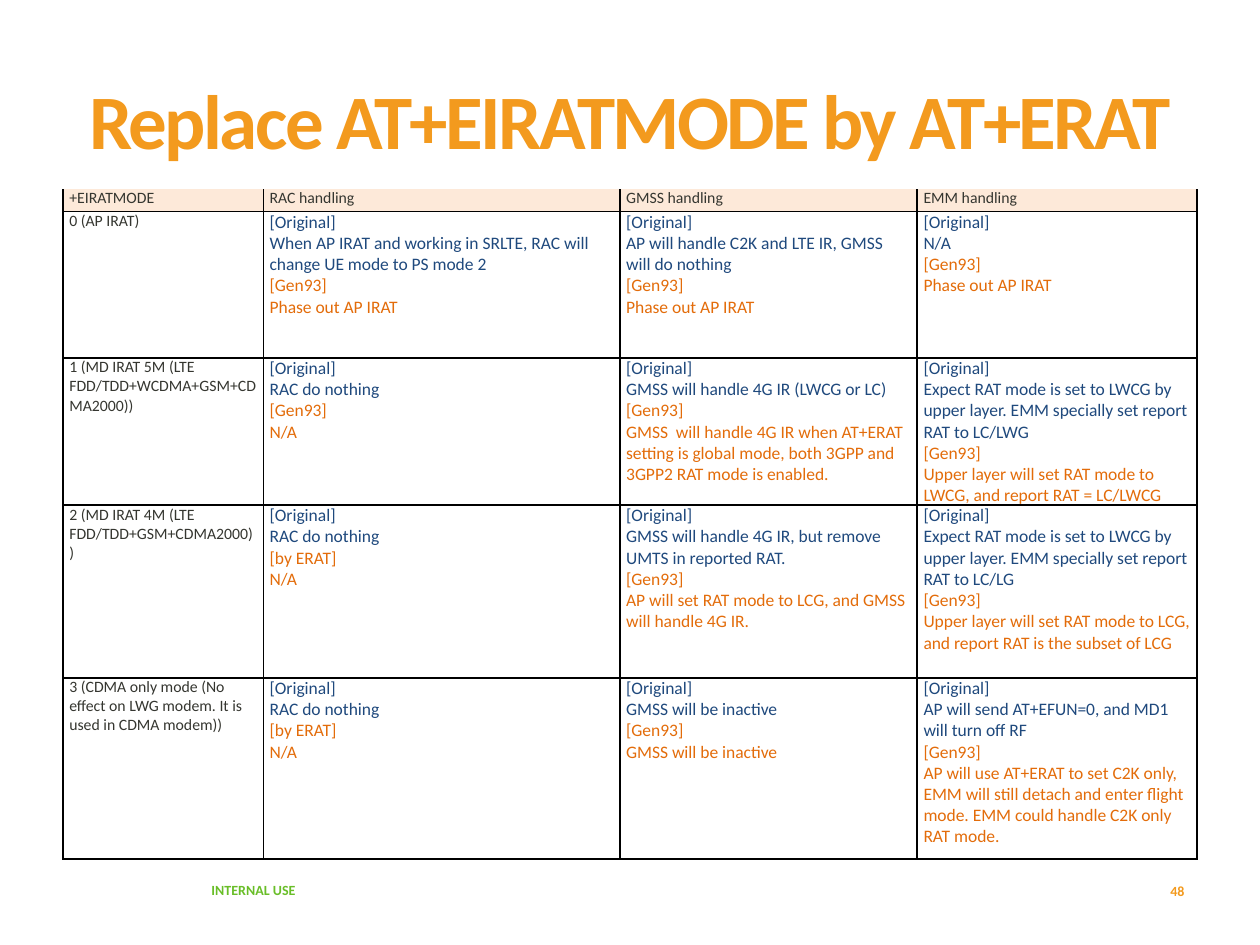
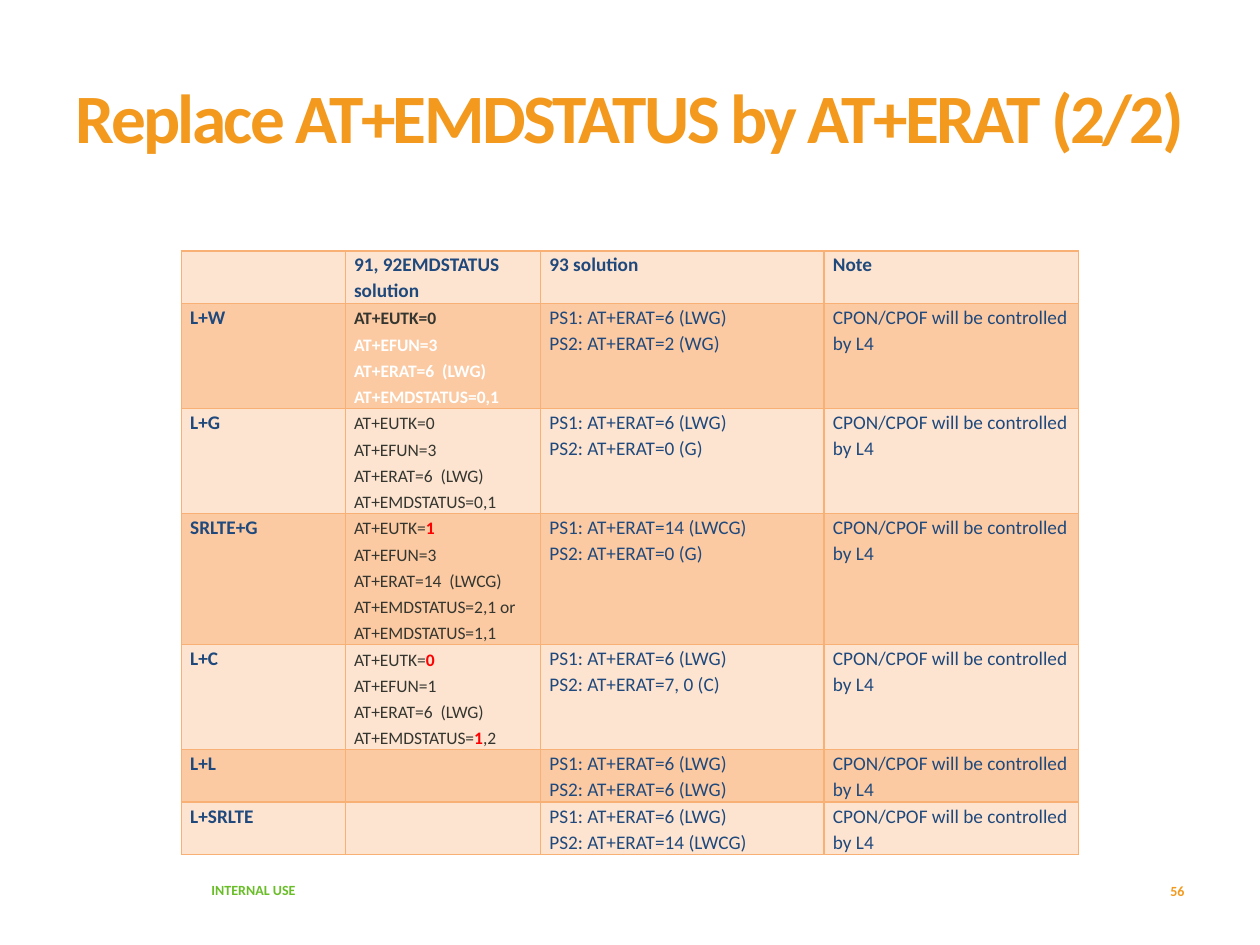
"""Build two slides of tables on replacing AT commands by AT+ERAT."""
from lxml.etree import SubElement
from pptx import Presentation
from pptx.dml.color import RGBColor
from pptx.enum.text import MSO_ANCHOR as Anchor, PP_ALIGN as Align
from pptx.oxml.ns import qn
from pptx.util import Inches, Pt

hex_color = RGBColor.from_string
DARK, NAVY, ORANGE, RED, WHITE = "353630", "1F497D", "E36C0A", "FF0000", "FFFFFF"
AMBER, GREEN = "F39A1E", "69BE28"

STYLES = {
    "title": {"size": Pt(44), "bold": True, "color": AMBER},
    "long title": {"size": Pt(39.6), "bold": True, "color": AMBER},
    "footer": {"size": Pt(8), "bold": True, "color": GREEN},
    "number": {"size": Pt(8), "bold": True, "color": AMBER},
    "mode": {"size": Pt(9), "bold": False, "color": DARK},
    "before": {"size": Pt(10), "bold": False, "color": NAVY},
    "after": {"size": Pt(10), "bold": False, "color": ORANGE},
    "heading": {"size": Pt(11), "bold": True, "color": NAVY},
    "solution": {"size": Pt(11), "bold": False, "color": NAVY},
    "command": {"size": Pt(10), "bold": False, "color": DARK},
    "bold command": {"size": Pt(10), "bold": True, "color": DARK},
    "white command": {"size": Pt(10), "bold": True, "color": WHITE},
    "changed": {"size": Pt(10), "bold": True, "color": RED},
}


def write(frame, lines, layout):
    """Write lines of (style, text) runs; layout holds paragraph attributes."""
    for index, line in enumerate(lines):
        paragraph = frame.add_paragraph() if index else frame.paragraphs[0]
        for name, value in layout.items():
            setattr(paragraph, name, value)
        for style, text in line:
            run = paragraph.add_run()
            run.text = text
            run.font.name = "Calibri"
            for name, value in STYLES[style].items():
                if name == "color":
                    run.font.color.rgb = hex_color(value)
                else:
                    setattr(run.font, name, value)
            if style.endswith("title"):
                run.font._element.set("spc", "-150")


def format_cell(cell, inset, sides, line_color, fill):
    """Set the margins, the borders on the given sides and the fill."""
    margins = {"margin_left": inset, "margin_right": inset, "margin_top": 0, "margin_bottom": 0}
    for name, value in margins.items():
        setattr(cell, name, Inches(value))
    properties = cell._tc.get_or_add_tcPr()
    for side in "LRTB":
        line = SubElement(properties, qn("a:ln" + side), w=str(Pt(1)))
        if side in sides:
            solid = SubElement(line, qn("a:solidFill"))
            SubElement(solid, qn("a:srgbClr"), val=line_color)
        else:
            SubElement(line, qn("a:noFill"))
    if fill:
        cell.fill.solid()
        cell.fill.fore_color.rgb = hex_color(fill)
    else:
        cell.fill.background()


MODE_HEADINGS = ["+EIRATMODE", "RAC handling", "GMSS handling", "EMM handling"]
PHASE_OUT = "Phase out AP IRAT"
MODES = [
    ("0 (AP IRAT)", [
        ("When AP IRAT and working in SRLTE, RAC will change UE mode to PS mode 2",
         "[Gen93]", PHASE_OUT),
        ("AP will handle C2K and LTE IR, GMSS will do nothing", "[Gen93]", PHASE_OUT),
        ("N/A", "[Gen93]", PHASE_OUT)]),
    ("1 (MD IRAT 5M (LTE FDD/TDD+WCDMA+GSM+CDMA2000))", [
        ("RAC do nothing", "[Gen93]", "N/A"),
        ("GMSS will handle 4G IR (LWCG or LC)", "[Gen93]",
         "GMSS  will handle 4G IR when AT+ERAT setting is global mode, "
         "both 3GPP and 3GPP2 RAT mode is enabled."),
        ("Expect RAT mode is set to LWCG by upper layer. EMM specially set report RAT to LC/LWG",
         "[Gen93]", "Upper layer will set RAT mode to LWCG, and report RAT = LC/LWCG")]),
    ("2 (MD IRAT 4M (LTE FDD/TDD+GSM+CDMA2000))", [
        ("RAC do nothing", "[by ERAT]", "N/A"),
        ("GMSS will handle 4G IR, but remove UMTS in reported RAT.", "[Gen93]",
         "AP will set RAT mode to LCG, and GMSS will handle 4G IR."),
        ("Expect RAT mode is set to LWCG by upper layer. EMM specially set report RAT to LC/LG",
         "[Gen93]", "Upper layer will set RAT mode to LCG, and report RAT is the subset of LCG")]),
    ("3 (CDMA only mode (No effect on LWG modem. It is used in CDMA modem))", [
        ("RAC do nothing", "[by ERAT]", "N/A"),
        ("GMSS will be inactive", "[Gen93]", "GMSS will be inactive"),
        ("AP will send AT+EFUN=0, and MD1 will turn off RF", "[Gen93]",
         "AP will use AT+ERAT to set C2K only, EMM will still detach and enter flight mode. "
         "EMM could handle C2K only RAT mode.")]),
]
mode_rows = [[[[("mode", heading)]] for heading in MODE_HEADINGS]]
for mode, handlings in MODES:
    row = [[[("mode", mode)]]]
    for before, label, after in handlings:
        row.append([[("before", "[Original]")], [("before", before)],
                    [("after", label)], [("after", after)]])
    mode_rows.append(row)

STATUS_HEADINGS = ["", "91, 92EMDSTATUS solution", "93 solution", "Note"]
NOTE = "CPON/CPOF will be controlled by L4"
STATUSES = [
    ("L+W", [[("bold command", "AT+EUTK=0")], [("white command", "AT+EFUN=3")],
             [("white command", "AT+ERAT=6  (LWG)")], [("white command", "AT+EMDSTATUS=0,1")]],
     "6 (LWG)", "2 (WG)"),
    ("L+G", [[("command", "AT+EUTK=0")], [("command", "AT+EFUN=3")],
             [("command", "AT+ERAT=6  (LWG)")], [("command", "AT+EMDSTATUS=0,1")]],
     "6 (LWG)", "0 (G)"),
    ("SRLTE+G", [[("command", "AT+EUTK="), ("changed", "1")], [("command", "AT+EFUN=3")],
                 [("command", "AT+ERAT=14  (LWCG)")], [("command", "AT+EMDSTATUS=2,1 or")],
                 [("command", "AT+EMDSTATUS=1,1")]],
     "14 (LWCG)", "0 (G)"),
    ("L+C", [[("command", "AT+EUTK="), ("changed", "0")], [("command", "AT+EFUN=1")],
             [("command", "AT+ERAT=6  (LWG)")],
             [("command", "AT+EMDSTATUS="), ("changed", "1"), ("command", ",2")]],
     "6 (LWG)", "7, 0 (C)"),
    ("L+L", [], "6 (LWG)", "6 (LWG)"),
    ("L+SRLTE", [], "6 (LWG)", "14 (LWCG)"),
]
status_rows = [[[[("heading", heading)]] if heading else [] for heading in STATUS_HEADINGS]]
for status, commands, first, second in STATUSES:
    solutions = [[("solution", "PS1: AT+ERAT=" + first)], [("solution", "PS2: AT+ERAT=" + second)]]
    status_rows.append([[[("heading", status)]], commands, solutions, [[("solution", NOTE)]]])

PAGES = [
    {"title": "Replace AT+EIRATMODE by AT+ERAT", "style": "title", "number": "48",
     "rows": mode_rows, "left": 0.5, "top": 1.5, "widths": [1.59, 2.83, 2.36, 2.22],
     "heights": [0.18, 1.16, 1.17, 1.37, 1.44], "inset": 0.05, "line": "000000",
     "fills": ["FDE9D9", None, None, None, None], "header_sides": "LRB", "layout": {}},
    {"title": "Replace AT+EMDSTATUS by AT+ERAT (2/2)", "style": "long title", "number": "56",
     "rows": status_rows, "left": 1.44, "top": 1.99, "widths": [1.3, 1.55, 2.25, 2.02],
     "heights": [0.41, 0.82, 0.82, 1.02, 0.82, 0.41, 0.41], "inset": 0.07, "line": "F9B074",
     "fills": ["FDE4D0", "FBCAA2"] * 3 + ["FDE4D0"], "header_sides": "LRTB",
     "layout": {"line_spacing": Pt(15)}},
]

presentation = Presentation()
presentation.slide_width, presentation.slide_height = Inches(10), Inches(7.5)

for page in PAGES:
    slide = presentation.slides.add_slide(presentation.slide_layouts[6])
    texts = [
        ("footer", "INTERNAL USE", (1.58, 6.86, 1.76, 0.4), Anchor.MIDDLE, {}),
        (page["style"], page["title"], (0.5, 0.67, 9, 1.24), Anchor.TOP,
         {"alignment": Align.CENTER, "line_spacing": 0.8}),
        ("number", page["number"], (8.34, 6.87, 1.16, 0.4), Anchor.MIDDLE,
         {"alignment": Align.RIGHT}),
    ]
    for style, text, box, anchor, layout in texts:
        frame = slide.shapes.add_textbox(*map(Inches, box)).text_frame
        frame.word_wrap = True
        frame.vertical_anchor = anchor
        write(frame, [[(style, text)]], layout)

    widths, heights = page["widths"], page["heights"]
    box = (page["left"], page["top"], sum(widths), sum(heights))
    table = slide.shapes.add_table(len(heights), len(widths), *map(Inches, box)).table
    table.first_row = table.horz_banding = False
    for column, width in zip(table.columns, widths):
        column.width = Inches(width)
    for index, (row, height) in enumerate(zip(table.rows, heights)):
        row.height = Inches(height)
        sides = "LRTB" if index else page["header_sides"]
        for cell, lines in zip(row.cells, page["rows"][index]):
            format_cell(cell, page["inset"], sides, page["line"], page["fills"][index])
            write(cell.text_frame, lines, page["layout"])

presentation.save("out.pptx")
